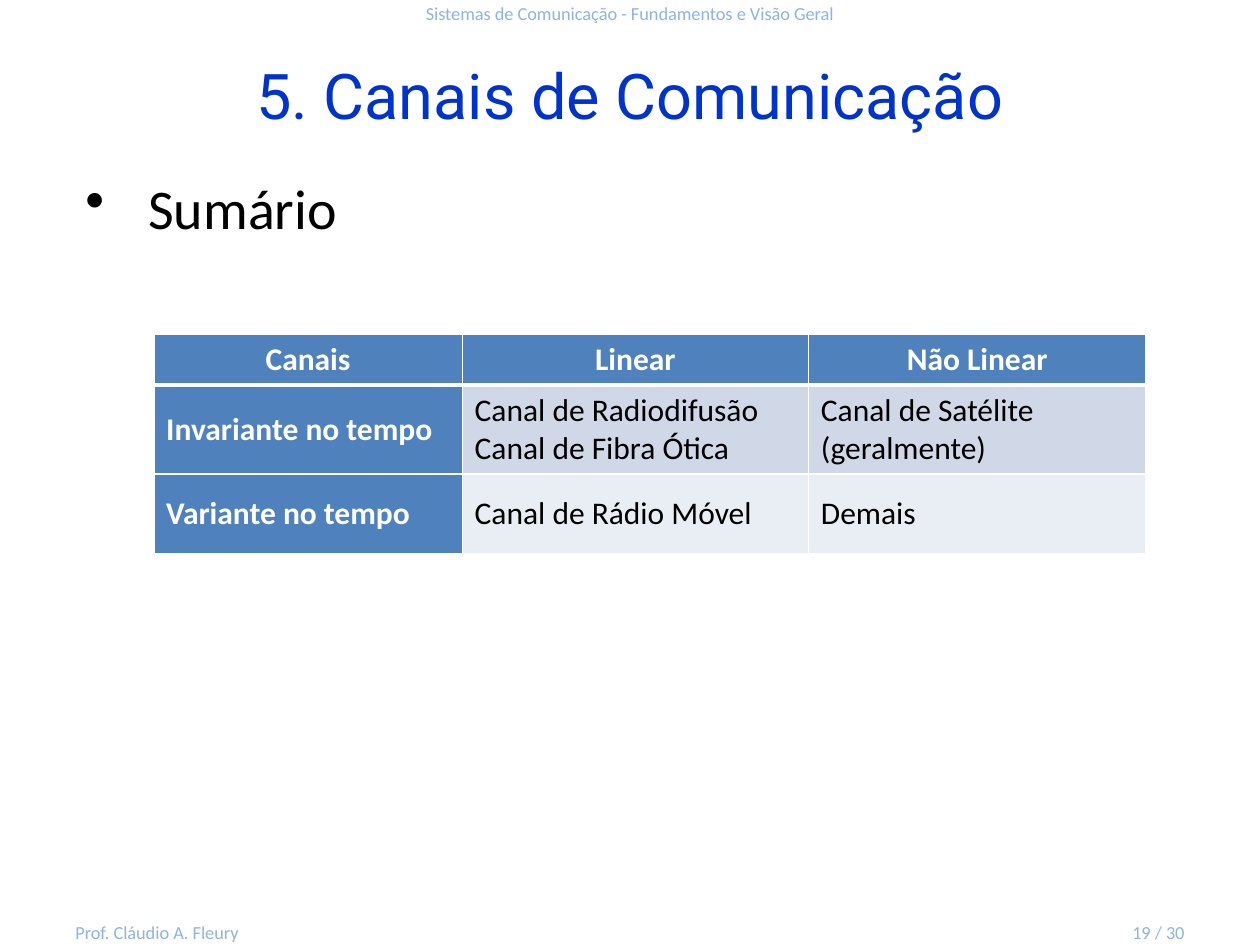
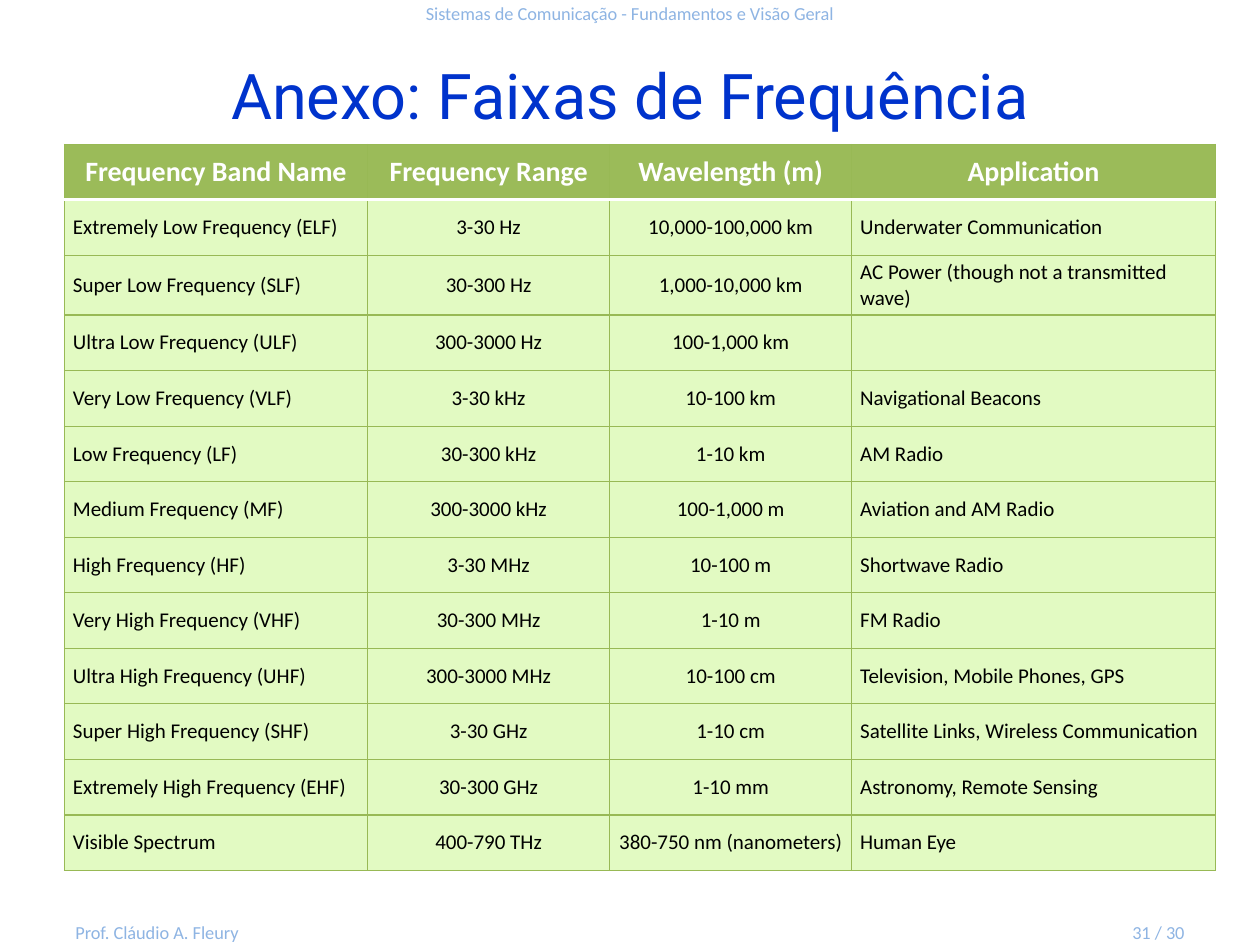
from lxml.etree import SubElement
from pptx import Presentation
from pptx.dml.color import RGBColor
from pptx.enum.text import MSO_ANCHOR as Anchor, PP_ALIGN as Align
from pptx.oxml.ns import qn
from pptx.util import Cm, Pt

COLORS = {
    "title": "0033CC", "margin": "8EB4E3", "black": "000000", "white": "FFFFFF",
    "blue": "4F81BD", "blue_band": "D0D8E8", "blue_pale": "E9EDF4",
    "green": "9BBB59", "green_line": "98B955", "green_pale": "E2FAC2",
}
BODY_FONT, TITLE_FONT = "Calibri", "Roboto"
TITLE_ONLY = 5

CHANNELS = [
    ("Canais", "Linear", "Não Linear"),
    ("Invariante no tempo", "Canal de Radiodifusão\nCanal de Fibra Ótica",
     "Canal de Satélite\n(geralmente)"),
    ("Variante no tempo", "Canal de Rádio Móvel", "Demais"),
]
BANDS = [
    ("Frequency Band Name", "Frequency Range", "Wavelength (m)", "Application"),
    ("Extremely Low Frequency (ELF)", "3-30 Hz", "10,000-100,000 km", "Underwater Communication"),
    ("Super Low Frequency (SLF)", "30-300 Hz", "1,000-10,000 km",
     "AC Power (though not a transmitted wave)"),
    ("Ultra Low Frequency (ULF)", "300-3000 Hz", "100-1,000 km", ""),
    ("Very Low Frequency (VLF)", "3-30 kHz", "10-100 km", "Navigational Beacons"),
    ("Low Frequency (LF)", "30-300 kHz", "1-10 km", "AM Radio"),
    ("Medium Frequency (MF)", "300-3000 kHz", "100-1,000 m", "Aviation and AM Radio"),
    ("High Frequency (HF)", "3-30 MHz", "10-100 m", "Shortwave Radio"),
    ("Very High Frequency (VHF)", "30-300 MHz", "1-10 m", "FM Radio"),
    ("Ultra High Frequency (UHF)", "300-3000 MHz", "10-100 cm", "Television, Mobile Phones, GPS"),
    ("Super High Frequency (SHF)", "3-30 GHz", "1-10 cm",
     "Satellite Links, Wireless Communication"),
    ("Extremely High Frequency (EHF)", "30-300 GHz", "1-10 mm", "Astronomy, Remote Sensing"),
    ("Visible Spectrum", "400-790 THz", "380-750 nm (nanometers)", "Human Eye"),
]


def color(name):
    return RGBColor.from_string(COLORS[name])


def style_text(frame, size, color_name, align=Align.LEFT, bold=False, font=BODY_FONT):
    for para in frame.paragraphs:
        para.alignment = align
        para.font.name, para.font.size, para.font.bold = font, Pt(size), bold
        para.font.color.rgb = color(color_name)


def add_text(page, box, text, size, color_name, align=Align.LEFT, anchor=Anchor.MIDDLE):
    frame = page.shapes.add_textbox(*map(Cm, box)).text_frame
    frame.word_wrap = True
    frame.vertical_anchor = anchor
    frame.text = text
    style_text(frame, size, color_name, align)
    return frame


def add_page(deck, title, number):
    """Page with its title, header line and footer."""
    page = deck.slides.add_slide(deck.slide_layouts[TITLE_ONLY])
    heading = page.shapes.title
    heading.left, heading.top, heading.width, heading.height = map(Cm, (1.27, 0.91, 22.86, 2))
    heading.text_frame.text = title
    heading.text_frame.vertical_anchor = Anchor.MIDDLE
    style_text(heading.text_frame, 36, "title", Align.CENTER, font=TITLE_FONT)

    for box, text, align in (
        ((1.3, 0, 22.8, 0.53), "Sistemas de Comunicação - Fundamentos e Visão Geral", Align.CENTER),
        ((1.27, 18.52, 5.92, 0.53), "Prof. Cláudio A. Fleury", Align.LEFT),
        ((22.3, 18.52, 1.83, 0.53), f"{number} / 30", Align.RIGHT),
    ):
        add_text(page, box, text, 10.5, "margin", align)
    return page


def add_bullet(page, box, text):
    frame = add_text(page, box, text, 32, "black", anchor=Anchor.TOP)
    for para in frame.paragraphs:
        props = para._p.get_or_add_pPr()
        props.set("marL", str(Cm(1.47)))
        props.set("indent", str(-Cm(1.27)))
        mark = props.makeelement(qn("a:buChar"), {"char": "•"})
        props.insert(0, mark)


def set_borders(cell, **sides):
    """Each side (L, R, T, B) is a pair of colour name and width in points."""
    props = cell._tc.get_or_add_tcPr()
    for side in "LRTB":
        name, width = sides[side]
        line = SubElement(props, qn(f"a:ln{side}"), w=str(Pt(width)))
        fill = SubElement(line, qn("a:solidFill"))
        SubElement(fill, qn("a:srgbClr"), val=COLORS[name])


def add_grid(page, corner, widths, heights, rows, line, rule, look, insets=(0.25, 0.13)):
    """Table whose look(row, column) gives fill, size, colour, alignment and bold."""
    left, top = corner
    size = (left, top, sum(widths), sum(heights))
    table = page.shapes.add_table(len(rows), len(widths), *map(Cm, size)).table
    table.horz_banding = False
    for column, width in zip(table.columns, widths):
        column.width = Cm(width)
    for row, height in zip(table.rows, heights):
        row.height = Cm(height)

    for r, texts in enumerate(rows):
        for c, text in enumerate(texts):
            cell = table.cell(r, c)
            fill, *text_style = look(r, c)
            cell.text = text
            cell.vertical_anchor = Anchor.MIDDLE
            cell.margin_left = cell.margin_right = Cm(insets[0])
            cell.margin_top = cell.margin_bottom = Cm(insets[1])
            style_text(cell.text_frame, *text_style)
            # The heavier rule lies between the header and the first row
            set_borders(cell, L=line, R=line, T=rule if r == 1 else line,
                        B=rule if r == 0 else line)
            cell.fill.solid()
            cell.fill.fore_color.rgb = color(fill)


def channel_look(row, column):
    if row == 0 or column == 0:
        align = Align.CENTER if row == 0 else Align.LEFT
        return "blue", 18, "white", align, True
    return ("blue_band" if row % 2 else "blue_pale"), 18, "black", Align.LEFT, False


def band_look(row, column):
    if row == 0:
        return "green", 16, "white", Align.CENTER, True
    align = Align.CENTER if column in (1, 2) else Align.LEFT
    return "green_pale", 12, "black", align, False


def build_channels(deck):
    page = add_page(deck, "5. Canais de Comunicação", 19)
    add_bullet(page, (1.27, 3.38, 23.24, 15), "Sumário")
    add_grid(page, (3.1, 6.73), (6.22, 6.98, 6.8), (1.03, 1.8, 1.6), CHANNELS,
             ("white", 1), ("white", 3), channel_look)


def build_bands(deck):
    page = add_page(deck, "Anexo: Faixas de Frequência", 31)
    heights = [1.2 if row == 2 else 1.12 for row in range(len(BANDS))]
    add_grid(page, (1.3, 2.91), (6.11, 4.88, 4.88, 7.33), heights, BANDS,
             ("green_line", 0.75), ("white", 2), band_look, insets=(0.17, 0.08))


def main():
    deck = Presentation()
    deck.slide_width, deck.slide_height = Cm(25.4), Cm(19.05)
    build_channels(deck)
    build_bands(deck)
    deck.save("out.pptx")


if __name__ == "__main__":
    main()
